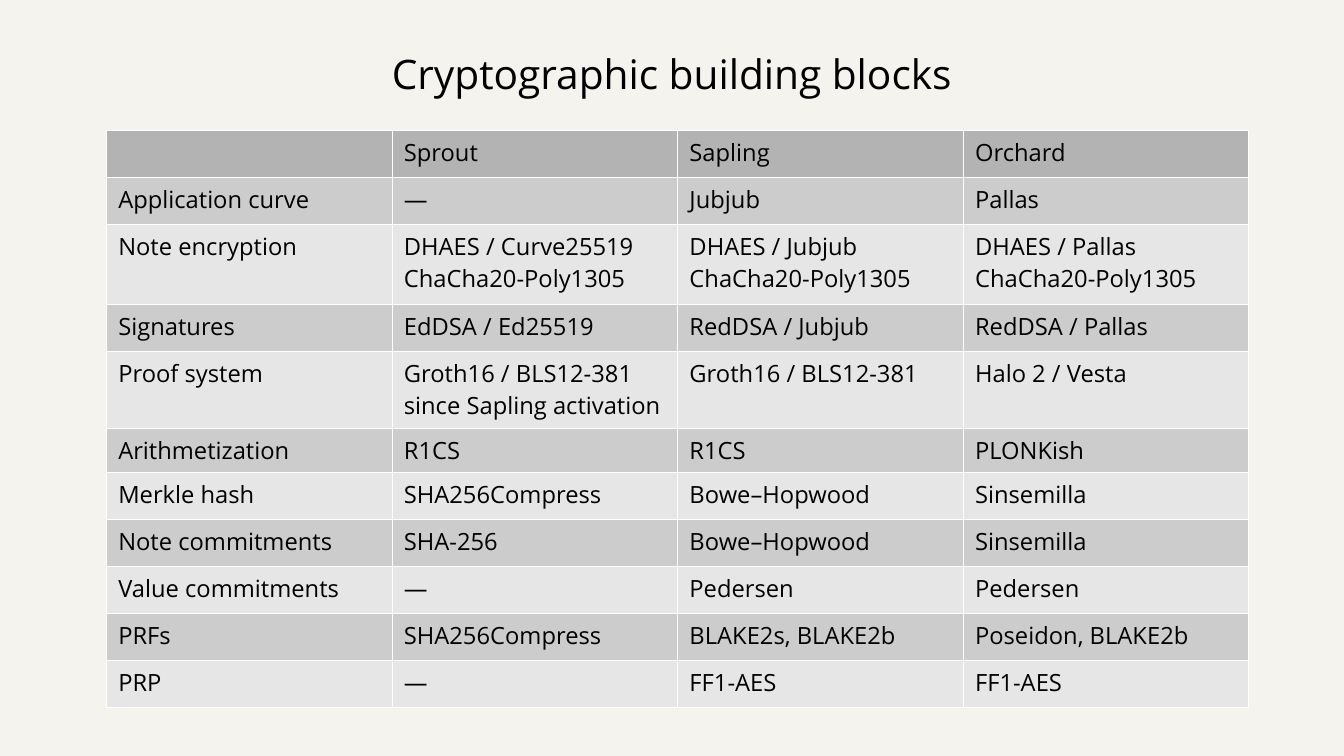
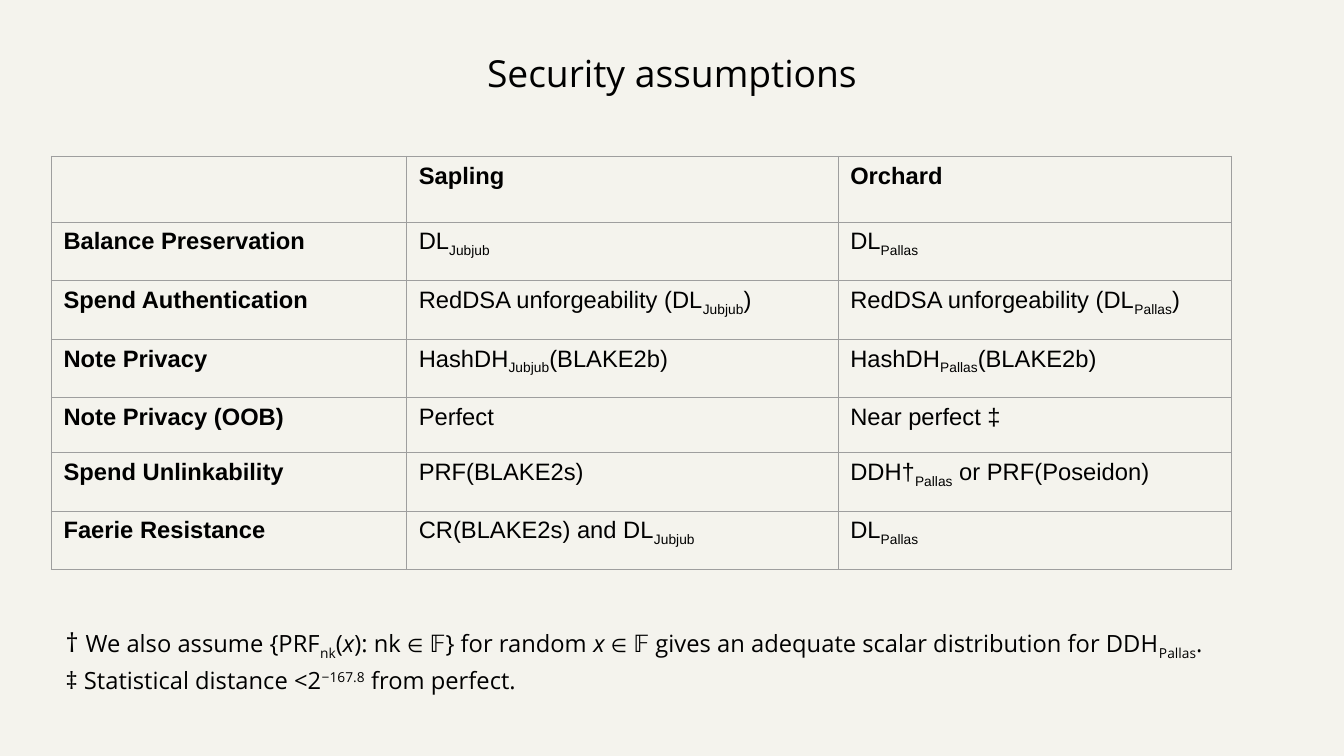
import pptx
import pptx.dml.color
import pptx.enum.text
import pptx.oxml
import pptx.oxml.ns
import pptx.util
from lxml import etree

Cm = pptx.util.Cm
Pt = pptx.util.Pt
qn = pptx.oxml.ns.qn

# Shared style
PAPER, INK = "F4F3ED", "000000"
HEADER_FILL, BAND_FILLS = "B3B3B3", ("CCCCCC", "E6E6E6")
SANS, TABLE_SANS = "Open Sans", "Arial"
BODY_SIZE = 14


def lowered(text):
    return text, {"baseline": -25}


def italic(text):
    return text, {"italic": True}


ELEMENT_OF = ("∈", {"size": 11})
JUBJUB, PALLAS = lowered("Jubjub"), lowered("Pallas")

# Content: a cell is a list of paragraphs, a paragraph a list of runs
BLOCKS_TITLE = "Cryptographic building blocks"
BLOCKS = [
    ("", "Sprout", "Sapling", "Orchard"),
    ("Application curve", "—", "Jubjub", "Pallas"),
    ("Note encryption",
     [["DHAES / Curve25519"], ["ChaCha20-Poly1305"]],
     [["DHAES / Jubjub"], ["ChaCha20-Poly1305"]],
     [["DHAES / Pallas"], ["ChaCha20-Poly1305"]]),
    ("Signatures", "EdDSA / Ed25519", "RedDSA / Jubjub", "RedDSA / Pallas"),
    ("Proof system", "Groth16 / BLS12-381 since Sapling activation",
     "Groth16 / BLS12-381", "Halo 2 / Vesta"),
    ("Arithmetization", "R1CS", "R1CS", "PLONKish"),
    ("Merkle hash", "SHA256Compress", "Bowe–Hopwood", "Sinsemilla"),
    ("Note commitments", "SHA-256", "Bowe–Hopwood", "Sinsemilla"),
    ("Value commitments", "—", "Pedersen", "Pedersen"),
    ("PRFs", "SHA256Compress", "BLAKE2s, BLAKE2b", "Poseidon, BLAKE2b"),
    ("PRP", "—", "FF1-AES", "FF1-AES"),
]
BLOCKS_COLUMNS = [5.95] * 4
BLOCKS_ROWS = [0.98, 0.98, 1.67, 0.98, 1.37, 0.82] + [0.98] * 5

ASSUMPTIONS_TITLE = "Security assumptions"
ASSUMPTIONS = [
    ("", "Sapling", "Orchard"),
    ("Balance Preservation", [["DL", JUBJUB]], [["DL", PALLAS]]),
    ("Spend Authentication",
     [["RedDSA unforgeability (DL", JUBJUB, ")"]],
     [["RedDSA unforgeability (DL", PALLAS, ")"]]),
    ("Note Privacy",
     [["HashDH", JUBJUB, "(BLAKE2b)"]], [["HashDH", PALLAS, "(BLAKE2b)"]]),
    ("Note Privacy (OOB)", "Perfect", "Near perfect ‡"),
    ("Spend Unlinkability",
     "PRF(BLAKE2s)", [["DDH†", PALLAS, " or PRF(Poseidon)"]]),
    ("Faerie Resistance",
     [["CR(BLAKE2s) and DL", JUBJUB]], [["DL", PALLAS]]),
]
ASSUMPTIONS_COLUMNS = [7.4, 8.99, 8.2]
ASSUMPTIONS_ROWS = [1.37, 1.22, 1.22, 1.22, 1.14, 1.22, 1.22]
FOOTNOTES = [
    [("† ", {"size": 15.4}), "We also assume {PRF", lowered("nk"), "(",
     italic("x"), "): nk ", ELEMENT_OF, " 𝔽} for random ", italic("x "),
     ELEMENT_OF, " 𝔽 gives an adequate scalar distribution for DDH",
     PALLAS, "."],
    ["‡ Statistical distance <2", ("−167.8", {"baseline": 30}),
     " from perfect."],
]


def color(value):
    return pptx.dml.color.RGBColor.from_string(value)


def add_run(paragraph, text, font=SANS, size=BODY_SIZE, bold=False,
            italic=False, baseline=0):
    run = paragraph.add_run()
    run.text = text
    run.font.name = font
    run.font.size = Pt(size)
    run.font.bold = bold
    run.font.italic = italic
    run.font.color.rgb = color(INK)
    if baseline:
        run.font._element.set("baseline", str(baseline * 1000))


def write_text(frame, content, align=None, line_spacing=None, **style):
    """Write a string, or a list of paragraphs made of runs."""
    paragraphs = [[content]] if isinstance(content, str) else content
    for index, runs in enumerate(paragraphs):
        paragraph = frame.add_paragraph() if index else frame.paragraphs[0]
        paragraph.alignment = align
        paragraph.line_spacing = line_spacing
        for run in runs:
            text, changes = (run, {}) if isinstance(run, str) else run
            if text:
                add_run(paragraph, text, **{**style, **changes})
            else:
                # An empty cell still needs the body size for its row height
                etree.SubElement(paragraph._p, qn("a:endParaRPr"),
                                 sz=str(BODY_SIZE * 100))


def set_borders(cell, line_color, width):
    properties = cell._tc.get_or_add_tcPr()
    for index, side in enumerate(("lnL", "lnR", "lnT", "lnB")):
        line = pptx.oxml.parse_xml(
            f'<a:{side} xmlns:a="http://schemas.openxmlformats.org/drawingml/'
            f'2006/main" w="{int(Pt(width))}"><a:solidFill>'
            f'<a:srgbClr val="{line_color}"/></a:solidFill></a:{side}>')
        properties.insert(index, line)


def add_grid(slide, rows, left, top, widths, heights, line, fill_of,
             bold_of, font, frame_height):
    shape = slide.shapes.add_table(
        len(rows), len(widths), Cm(left), Cm(top),
        Cm(sum(widths)), Cm(sum(heights)))
    table = shape.table
    table.first_row = table.horz_banding = False
    for column, width in zip(table.columns, widths):
        column.width = Cm(width)
    for row, height in zip(table.rows, heights):
        row.height = Cm(height)
    shape.height = Cm(frame_height)
    for row_index, row in enumerate(rows):
        for column_index, content in enumerate(row):
            cell = table.cell(row_index, column_index)
            write_text(cell.text_frame, content, font=font,
                       bold=bold_of(row_index, column_index))
            fill = fill_of(row_index)
            if fill:
                cell.fill.solid()
                cell.fill.fore_color.rgb = color(fill)
            else:
                cell.fill.background()
            set_borders(cell, *line)


def set_margins(frame, margin):
    frame.margin_left = frame.margin_right = Cm(margin)
    frame.margin_top = frame.margin_bottom = Cm(margin)


def prepare_layout(presentation):
    """Set the background and title place that all slides inherit."""
    background = presentation.slide_master.background.fill
    background.solid()
    background.fore_color.rgb = color(PAPER)
    layout = presentation.slide_layouts[5]
    title = layout.placeholders[0]
    title.left, title.top = Cm(1.4), Cm(0.63)
    title.width, title.height = Cm(25.2), Cm(1.78)
    return layout


def add_slide(presentation, layout, title, size):
    slide = presentation.slides.add_slide(layout)
    frame = slide.shapes.title.text_frame
    set_margins(frame, 0)
    frame.vertical_anchor = pptx.enum.text.MSO_ANCHOR.MIDDLE
    write_text(frame, title, size=size,
               align=pptx.enum.text.PP_ALIGN.CENTER)
    return slide


def band_fill(row_index):
    return BAND_FILLS[(row_index - 1) % 2] if row_index else HEADER_FILL


def main():
    presentation = pptx.Presentation()
    presentation.slide_width, presentation.slide_height = Cm(28), Cm(15.75)
    layout = prepare_layout(presentation)

    # Building blocks
    slide = add_slide(presentation, layout, BLOCKS_TITLE, 24)
    add_grid(slide, BLOCKS, 2.21, 2.7, BLOCKS_COLUMNS, BLOCKS_ROWS,
             line=("FFFFFF", 0.06), fill_of=band_fill,
             bold_of=lambda row, column: False, font=SANS,
             frame_height=12.07)

    # Security assumptions
    slide = add_slide(presentation, layout, ASSUMPTIONS_TITLE, 22)
    add_grid(slide, ASSUMPTIONS, 1.07, 3.26, ASSUMPTIONS_COLUMNS,
             ASSUMPTIONS_ROWS, line=("9E9E9E", 0.75),
             fill_of=lambda row: None,
             bold_of=lambda row, column: row == 0 or column == 0,
             font=TABLE_SANS, frame_height=sum(ASSUMPTIONS_ROWS))

    # Footnotes
    box = slide.shapes.add_textbox(Cm(1.12), Cm(12.7), Cm(24.5), Cm(2.03))
    frame = box.text_frame
    frame.word_wrap = True
    frame.auto_size = pptx.enum.text.MSO_AUTO_SIZE.SHAPE_TO_FIT_TEXT
    set_margins(frame, 0.25)
    write_text(frame, FOOTNOTES, line_spacing=1.15)

    presentation.save("out.pptx")


if __name__ == "__main__":
    main()
